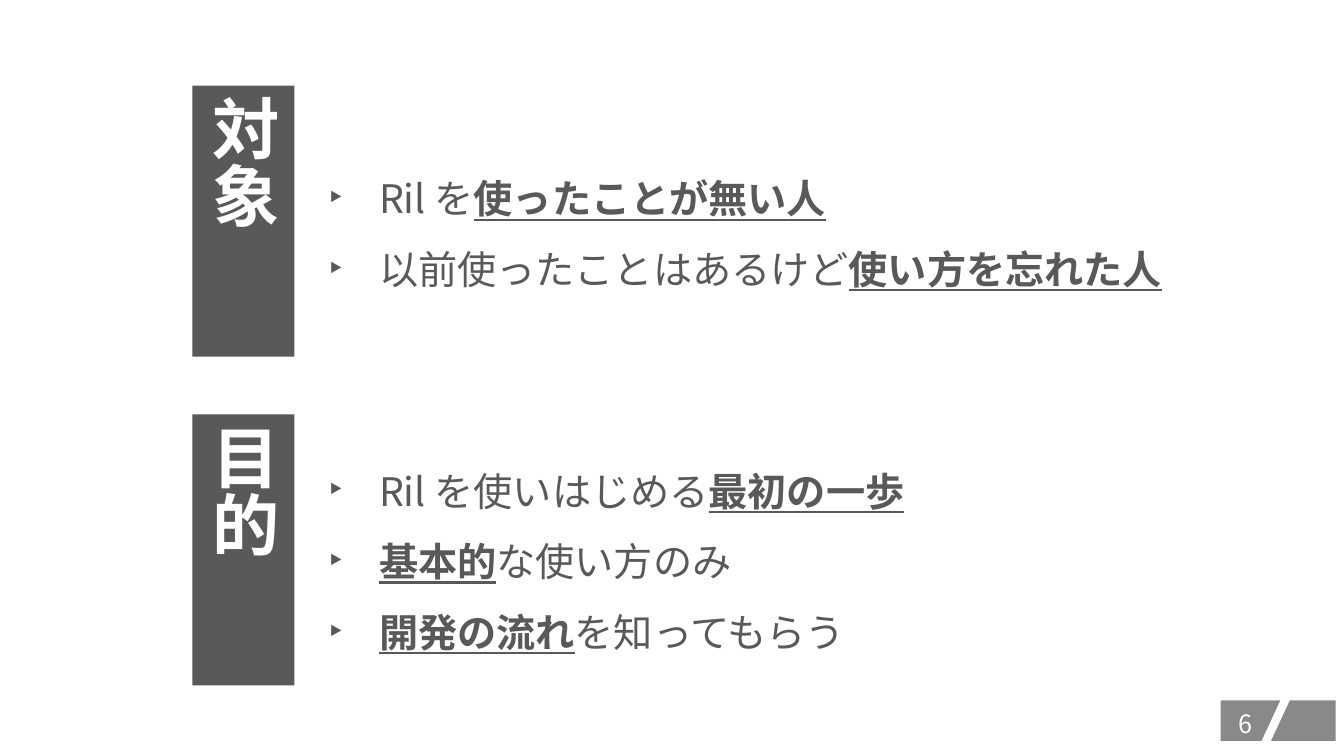
"""Build the audience and purpose slide of a tool introduction."""
from dataclasses import dataclass

import pptx
import pptx.dml.color
import pptx.enum.dml
import pptx.enum.shapes
import pptx.enum.text
import pptx.oxml.ns
import pptx.util
from lxml import etree
from pptx.util import Cm, Pt

SECTIONS = [
    {
        "label": "対象",
        "items": [
            [("Ril を", False), ("使ったことが無い人", True)],
            [("以前使ったことはあるけど", False), ("使い方を忘れた人", True)],
        ],
        "label_top": 2.16,
        "list_box": (8.03, 3.73, 22.15, 3.71),
    },
    {
        "label": "目的",
        "items": [
            [("Ril を使いはじめる", False), ("最初の一歩", True)],
            [("基本的", True), ("な使い方のみ", False)],
            [("開発の流れ", True), ("を知ってもらう", False)],
        ],
        "label_top": 10.44,
        "list_box": (8.03, 11.02, 20.78, 5.64),
    },
]
PAGE_NUMBER = "6"
LABEL_LEFT, LABEL_WIDTH, LABEL_HEIGHT = 4.85, 2.57, 6.83
LABEL_INDEXES, LIST_INDEXES = (1, 3), (2, 4)


@dataclass(frozen=True)
class Theme:
    font: str = "Noto Sans CJK JP"
    dark: str = "595959"
    grey: str = "898989"
    white: str = "FFFFFF"
    label_size: int = 48
    list_size: int = 28
    page_size: int = 18
    slash_width: int = 6


THEME = Theme()


def rgb(value):
    return pptx.dml.color.RGBColor.from_string(value)


def add_child(parent, tag, **attributes):
    return etree.SubElement(parent, pptx.oxml.ns.qn(tag), attributes)


def place(shape, left, top, width, height):
    shape.left, shape.top = Cm(left), Cm(top)
    shape.width, shape.height = Cm(width), Cm(height)


def fill(shape, color):
    shape.fill.solid()
    shape.fill.fore_color.rgb = rgb(color)
    shape.line.fill.background()


def set_frame(frame):
    frame.word_wrap = True
    frame.auto_size = pptx.enum.text.MSO_AUTO_SIZE.NONE
    frame.vertical_anchor = pptx.enum.text.MSO_ANCHOR.MIDDLE


def style(paragraph, size, color, bold=False):
    font = paragraph.font
    font.name, font.size, font.bold = THEME.font, Pt(size), bold
    font.color.rgb = rgb(color)
    defaults = paragraph._p.pPr.find(pptx.oxml.ns.qn("a:defRPr"))
    add_child(defaults, "a:ea", typeface=THEME.font)


def write_label(shape, text, top):
    place(shape, LABEL_LEFT, top, LABEL_WIDTH, LABEL_HEIGHT)
    fill(shape, THEME.dark)
    frame = shape.text_frame
    set_frame(frame)
    frame.margin_top = Cm(0.25)
    frame._txBody.bodyPr.set("vert", "eaVert")
    frame.text = text
    paragraph = frame.paragraphs[0]
    paragraph.alignment = pptx.enum.text.PP_ALIGN.CENTER
    paragraph.space_before = Pt(0)
    style(paragraph, THEME.label_size, THEME.white, bold=True)


def write_list(shape, items, box):
    place(shape, *box)
    frame = shape.text_frame
    set_frame(frame)
    for number, runs in enumerate(items):
        paragraph = frame.add_paragraph() if number else frame.paragraphs[0]
        paragraph.line_spacing = 1.5
        paragraph.space_before = Pt(0)
        properties = paragraph._p.get_or_add_pPr()
        properties.set("marL", str(Cm(1.27)))
        properties.set("indent", str(Cm(-1.27)))
        add_child(properties, "a:buChar", char="‣")
        style(paragraph, THEME.list_size, THEME.dark)
        for text, emphasized in runs:
            run = paragraph.add_run()
            run.text = text
            if emphasized:
                run.font.bold = run.font.underline = True


def add_page_number(slide):
    badge = slide.shapes.add_shape(
        pptx.enum.shapes.MSO_SHAPE.RECTANGLE, Cm(30.76), Cm(17.65), Cm(2.9), Cm(1.02))
    badge.shadow.inherit = False
    fill(badge, THEME.grey)
    slash = slide.shapes.add_connector(
        pptx.enum.shapes.MSO_CONNECTOR.STRAIGHT, Cm(32.44), Cm(17.53), Cm(31.85), Cm(18.8))
    slash.line.color.rgb = rgb(THEME.white)
    slash.line.width = Pt(THEME.slash_width)
    add_child(slash._element.spPr, "a:effectLst")
    number = slide.shapes.add_textbox(Cm(30.66), Cm(17.73), Cm(1.47), Cm(1.02))
    frame = number.text_frame
    set_frame(frame)
    frame.margin_left = frame.margin_right = frame.margin_top = frame.margin_bottom = 0
    frame.text = PAGE_NUMBER
    frame.paragraphs[0].alignment = pptx.enum.text.PP_ALIGN.CENTER
    style(frame.paragraphs[0], THEME.page_size, THEME.white)


def main():
    presentation = pptx.Presentation()
    presentation.slide_width, presentation.slide_height = Cm(33.87), Cm(19.05)
    comparison = presentation.slide_layouts.get_by_name("Comparison")
    slide = presentation.slides.add_slide(comparison)
    title = slide.shapes.title._element
    title.getparent().remove(title)
    holders = {holder.placeholder_format.idx: holder for holder in slide.placeholders}
    for section, label, listing in zip(SECTIONS, LABEL_INDEXES, LIST_INDEXES):
        write_label(holders[label], section["label"], section["label_top"])
        write_list(holders[listing], section["items"], section["list_box"])
    add_page_number(slide)
    presentation.save("out.pptx")


if __name__ == "__main__":
    main()
